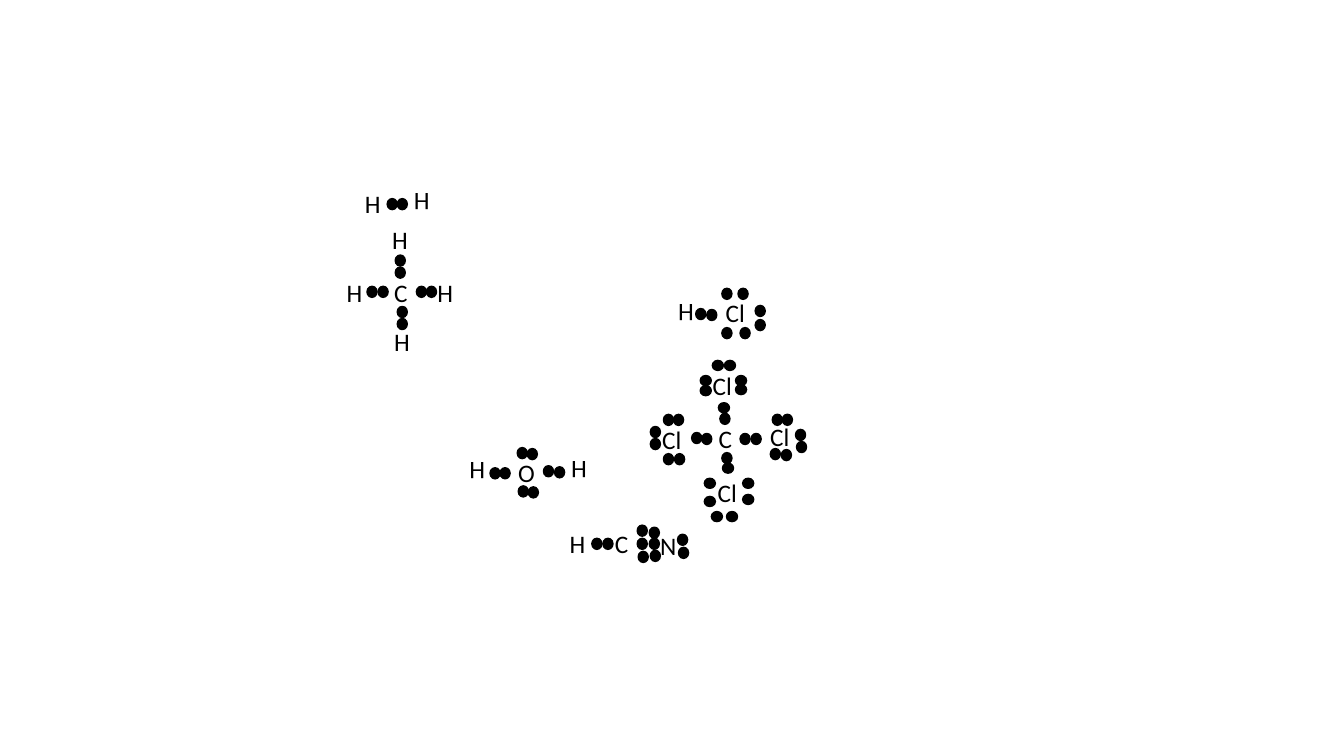
from dataclasses import dataclass

from pptx import Presentation
from pptx.dml.color import RGBColor
from pptx.enum.shapes import MSO_SHAPE
from pptx.enum.text import MSO_AUTO_SIZE
from pptx.util import Emu, Pt

OVAL = MSO_SHAPE.OVAL
GROW = MSO_AUTO_SIZE.SHAPE_TO_FIT_TEXT
SCALE = 9144  # EMU in one px, 100 px to the inch


@dataclass(frozen=True)
class Theme:
    ink: RGBColor = RGBColor(0, 0, 0)
    face: str = "Calibri"
    size: Pt = Pt(18)
    edge: Pt = Pt(1)


def px(*vals):
    return [Emu(val * SCALE) for val in vals]


def put(item, **vals):
    for name, val in vals.items():
        setattr(item, name, val)


class Sketch:
    """Draws electron-dot formulas on one slide."""

    def __init__(self, slide, theme):
        self.slide, self.theme = slide, theme

    def atom(self, group, text, left, top, width, turn=0):
        box = group.shapes.add_textbox(*px(left, top, width, 40))
        box.rotation = turn
        frame = box.text_frame
        put(frame, word_wrap=True, auto_size=GROW)
        run = frame.paragraphs[0].add_run()
        run.text = text
        put(run.font, name=self.theme.face, size=self.theme.size)
        run.font.color.rgb = self.theme.ink

    def dot(self, group, left, top, turn=0):
        dot = group.shapes.add_shape(OVAL, *px(left, top, 10, 11))
        dot.rotation = turn
        dot.shadow.inherit = False
        dot.fill.solid()
        dot.fill.fore_color.rgb = self.theme.ink
        dot.line.color.rgb = self.theme.ink
        dot.line.width = self.theme.edge

    def formula(self, atoms, dots):
        group = self.slide.shapes.add_group_shape()
        for turn, spots in dots.items():
            for left, top in spots:
                self.dot(group, left, top, turn)
        for atom in atoms:
            self.atom(group, *atom)


# Each formula: atoms (text, left, top, width, turn), then dots by turn
FORMULAS = [
    # Hydrogen
    ([("H", 352, 182, 65), ("H", 371, 182, 65, 180)],
     {0: [(384, 197)], 180: [(394, 197)]}),
    # Methane
    ([("C", 381, 270, 32), ("H", 379, 218, 46), ("H", 381, 319, 46),
      ("H", 334, 270, 46), ("H", 424, 270, 46)],
     {0: [(392, 253), (392, 265), (394, 304), (394, 316),
          (364, 284), (375, 284), (413, 284), (423, 284)]}),
    # Water
    ([("O", 504, 449, 44), ("H", 426, 449, 65, 180),
      ("H", 527, 448, 65, 180)],
     {0: [(513, 444), (523, 445), (514, 482), (524, 483),
          (496, 464), (539, 462)],
      180: [(486, 464), (550, 463)]}),
    # Hydrogen cyanide
    ([("H", 555, 519, 65), ("C", 600, 519, 32), ("N", 645, 521, 44)],
     {0: [(587, 534), (598, 534), (632, 521), (632, 534), (633, 547),
          (644, 523), (644, 534), (645, 546), (672, 530), (673, 543)]}),
    # Hydrogen chloride
    ([("H", 633, 292, 65, 180), ("Cl", 710, 290, 44)],
     {0: [(716, 286), (732, 286), (716, 325), (734, 325),
          (749, 303), (749, 317), (701, 307)],
      180: [(690, 306)]}),
    # Carbon tetrachloride: centre and right, bottom, left, top
    ([("C", 703, 415, 32), ("Cl", 754, 413, 44), ("Cl", 702, 469, 44),
      ("Cl", 647, 416, 44), ("Cl", 697, 362, 40)],
     {0: [(714, 410), (734, 430), (696, 430), (716, 449),
          (745, 430), (766, 411), (776, 411), (764, 445), (775, 446),
          (789, 426), (790, 438)],
      90: [(717, 459), (699, 474), (699, 492), (737, 474), (737, 490),
           (706, 507), (721, 507)],
      180: [(686, 429), (658, 411), (668, 411), (658, 450), (669, 450),
            (645, 423), (645, 435)],
      270: [(713, 399), (695, 372), (695, 382), (730, 372), (730, 381),
            (707, 357), (719, 357)]}),
]


def main():
    deck = Presentation()
    deck.slide_width, deck.slide_height = px(1333, 750)
    sketch = Sketch(deck.slides.add_slide(deck.slide_layouts[6]), Theme())
    for atoms, dots in FORMULAS:
        sketch.formula(atoms, dots)
    deck.save("out.pptx")


if __name__ == "__main__":
    main()
